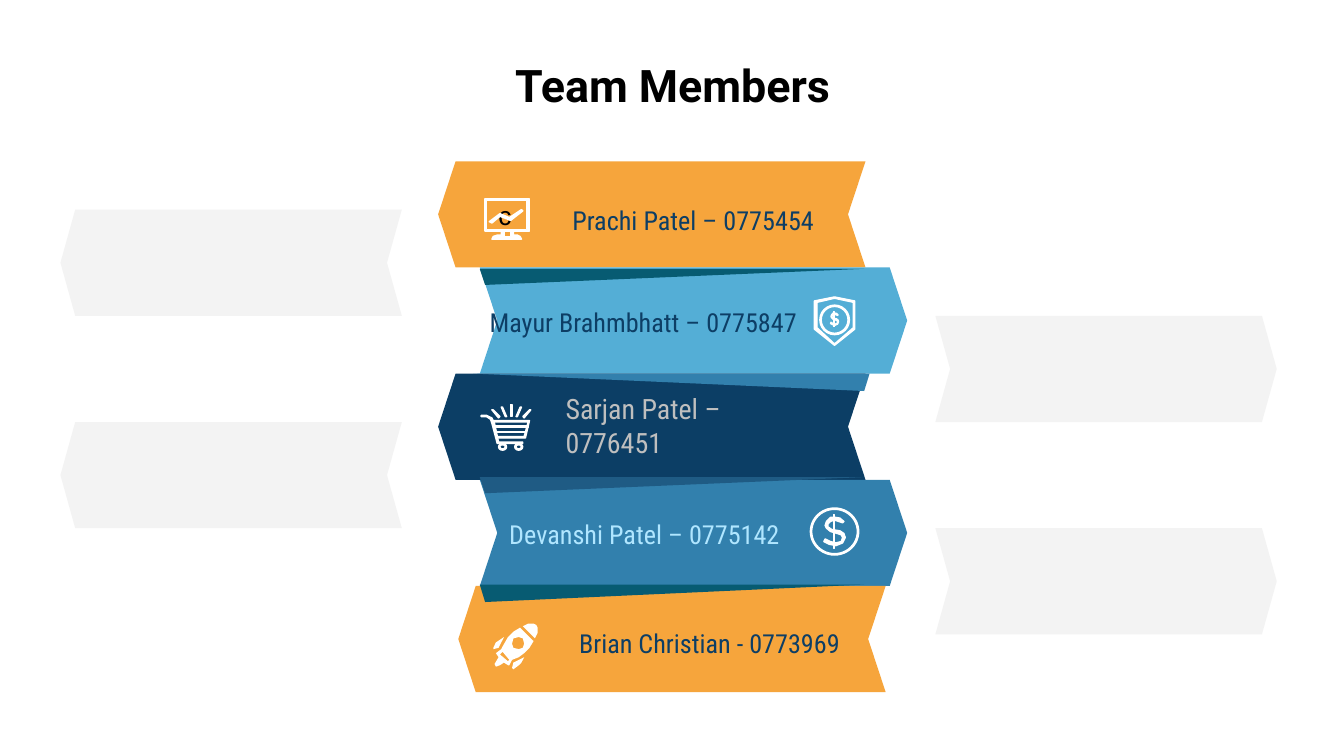
from pptx import Presentation
from pptx import util as u
from pptx.dml.color import RGBColor
from pptx.enum import shapes, text

COLOURS = {
    "orange": "F6A53C", "sky": "54AED6", "navy": "0C3E65", "blue": "3280AD",
    "teal": "075B72", "shade": "1F5B84", "grey": "F3F3F3", "white": "FFFFFF",
    "black": "000000", "ink": "0D3E65", "silver": "BFBFBF", "ice": "B0E6FF",
}
LEFT, CENTER, RIGHT = text.PP_ALIGN.LEFT, text.PP_ALIGN.CENTER, text.PP_ALIGN.RIGHT
TOP, MIDDLE = text.MSO_ANCHOR.TOP, text.MSO_ANCHOR.MIDDLE

# ribbon left, ribbon colour, fold colour, fold outline
RIBBONS = [
    (3.26, "orange", None, None),
    (3.57, "sky", "teal", [(3.57, 2), (3.61, 2.12), (6.43, 2)]),
    (3.26, "navy", "blue", [(3.52, 2.78), (6.43, 2.91), (6.47, 2.78)]),
    (3.57, "blue", "shade", [(3.57, 3.55), (3.61, 3.67), (6.43, 3.55)]),
    (3.41, "orange", "teal", [(3.57, 4.35), (3.61, 4.48), (6.43, 4.35)]),
]
# label, left, top, width, size, colour, alignment
MEMBERS = [
    ("Prachi Patel – 0775454", 4.16, 1.4, 2.28, 14, "ink", LEFT),
    ("Mayur Brahmbhatt – 0775847", 3.42, 2.16, 2.61, 14, "ink", RIGHT),
    ("Sarjan Patel – 0776451", 4.11, 2.93, 2.1, 15, "silver", LEFT),
    ("Devanshi Patel – 0775142", 3.58, 3.74, 2.32, 14, "ice", RIGHT),
    ("Brian Christian - 0773969", 4.21, 4.55, 2.28, 14, "ink", LEFT),
]
RIBBON_TOP, RIBBON_WIDTH, RIBBON_NOTCH = 1.2, 3.18, 0.13
PANEL_TOP, PANEL_WIDTH, PANEL_NOTCH = 1.56, 2.54, 0.11
PANEL_LEFTS = [0.45, 6.96]
PITCH = 0.79

MONITOR_STAND = [(3.73, 1.71), (3.73, 1.75), (3.7, 1.75), (3.67, 1.76), (3.66, 1.78),
                 (3.88, 1.78), (3.87, 1.76), (3.85, 1.75), (3.82, 1.75), (3.82, 1.71)]
MONITOR_STEM = [(3.8, 1.72), (3.8, 1.76), (3.75, 1.76), (3.75, 1.72)]
TREND = [(3.88, 1.56), (3.79, 1.62), (3.72, 1.59), (3.64, 1.65), (3.66, 1.66),
         (3.72, 1.61), (3.8, 1.64), (3.89, 1.57)]
SHIELD = [(6.21, 2.21), (6.06, 2.24), (6.06, 2.45), (6.21, 2.57), (6.36, 2.45), (6.36, 2.24)]
SHIELD_HOLE = [(6.21, 2.22), (6.35, 2.25), (6.35, 2.44), (6.21, 2.56), (6.08, 2.44), (6.08, 2.25)]
CART_HANDLE = [(3.58, 3.1), (3.62, 3.1), (3.65, 3.12), (3.66, 3.15), (3.7, 3.3), (3.89, 3.3),
               (3.89, 3.29), (3.71, 3.29), (3.68, 3.15), (3.66, 3.11), (3.62, 3.09), (3.58, 3.09)]
CART_BASKET = [(3.67, 3.13), (3.67, 3.14), (3.93, 3.14), (3.9, 3.25), (3.7, 3.25),
               (3.7, 3.26), (3.91, 3.26), (3.94, 3.13)]
CART_BARS = [(3.68, 3.17, 0.25, 0.01), (3.68, 3.21, 0.23, 0.01), (3.8, 3.01, 0.01, 0.09)]
CART_WHEELS = [3.71, 3.83]
CART_RAYS = [
    [(3.87, 3.03), (3.84, 3.1), (3.85, 3.1), (3.88, 3.03)],
    [(3.94, 3.05), (3.89, 3.1), (3.9, 3.11), (3.95, 3.05)],
    [(3.74, 3.03), (3.73, 3.03), (3.76, 3.1), (3.77, 3.1)],
    [(3.67, 3.05), (3.66, 3.05), (3.71, 3.11), (3.72, 3.1)],
]
# letter S on a 16 by 21 grid
LETTER_S = [(9, 0), (5, 0), (2, 3), (1, 6), (2, 8), (5, 10.5), (10, 12), (13, 13), (14, 15),
            (13, 18), (9, 19), (5, 18), (1, 16), (0, 18), (4, 20), (9, 21), (14, 19), (16, 15),
            (15, 12), (12, 10), (6, 9), (3, 7), (3, 5), (5, 3), (8, 2), (14, 4), (15, 3), (12, 0.5)]
ROCKET_BODY = [(3.87, 4.67), (3.82, 4.7), (3.78, 4.74), (3.74, 4.81), (3.73, 4.83), (3.69, 4.86),
               (3.71, 4.89), (3.68, 4.94), (3.69, 4.96), (3.72, 4.95), (3.75, 4.93), (3.78, 4.95),
               (3.79, 4.95), (3.81, 4.91), (3.86, 4.89), (3.9, 4.86), (3.94, 4.82), (3.97, 4.77)]
ROCKET_WINDOW = [(3.86, 4.74), (3.89, 4.75), (3.9, 4.79), (3.89, 4.82), (3.86, 4.83),
                 (3.82, 4.82), (3.81, 4.79), (3.82, 4.75)]
ROCKET_SLOT = [(3.74, 4.85), (3.79, 4.91), (3.78, 4.92), (3.72, 4.87)]
ROCKET_PARTS = [
    [ROCKET_BODY, ROCKET_WINDOW, ROCKET_SLOT],
    [[(3.97, 4.64), (3.93, 4.64), (3.89, 4.66), (3.98, 4.75), (4, 4.71), (4, 4.67), (3.99, 4.65)]],
    [[(3.9, 4.89), (3.84, 4.92), (3.82, 4.93), (3.81, 4.97), (3.82, 4.98), (3.86, 4.95), (3.88, 4.93)]],
    [[(3.75, 4.74), (3.69, 4.78), (3.67, 4.82), (3.67, 4.83), (3.71, 4.82), (3.72, 4.8)]],
]


def rgb(name):
    return RGBColor.from_string(COLOURS[name])


def paint(shape, colour, outlined):
    shape.shadow.inherit = False
    shape.fill.solid()
    shape.fill.fore_color.rgb = rgb(colour)
    if outlined:
        shape.line.color.rgb = rgb(colour)
        shape.line.width = u.Pt(0.75)
    else:
        shape.line.fill.background()
    return shape


def outline(contours, colour="white", outlined=False):
    """Draw closed contours as one shape; inner contours become holes."""
    scaled = [[(u.Inches(x), u.Inches(y)) for x, y in points] for points in contours]
    builder = page.shapes.build_freeform(*scaled[0][0])
    builder.add_line_segments(scaled[0][1:])
    for points in scaled[1:]:
        builder.move_to(*points[0])
        builder.add_line_segments(points[1:])
    return paint(builder.convert_to_shape(), colour, outlined)


def rectangle(left, top, width, height):
    return [(left, top), (left + width, top), (left + width, top + height), (left, top + height)]


def ribbon(left, top, width, notch, colour, points_right):
    tip = [(notch, 0), (0, PITCH / 2), (notch, PITCH),
           (width, PITCH), (width - notch, PITCH / 2), (width, 0)]
    outline([[(left + (width - x if points_right else x), top + y) for x, y in tip]], colour)


def ring(left, top, width, height, thickness):
    lengths = [u.Inches(n) for n in (left, top, width, height)]
    shape = page.shapes.add_shape(shapes.MSO_SHAPE.DONUT, *lengths)
    shape.adjustments[0] = thickness / min(width, height)
    paint(shape, "white", True)


def dollar(left, top, width, height, overhang):
    letter = [(left + x * width / 16, top + y * height / 21) for x, y in LETTER_S]
    outline([letter], outlined=True)
    bar = rectangle(left + width / 2 - 0.01, top - overhang, 0.01, height + 2 * overhang)
    outline([bar], outlined=True)


def write(shape, words, size, font, colour, align=LEFT, bold=False, anchor=MIDDLE):
    frame = shape.text_frame
    frame.word_wrap = True
    frame.vertical_anchor = anchor
    frame.margin_left = frame.margin_right = frame.margin_top = frame.margin_bottom = u.Inches(0.1)
    frame.text = words
    para = frame.paragraphs[0]
    para.alignment = align
    span = para.runs[0].font
    span.size, span.name, span.bold = u.Pt(size), font, bold
    span.color.rgb = rgb(colour)


deck = Presentation()
deck.slide_width, deck.slide_height = u.Inches(10), u.Inches(10 * 9 / 16)
page = deck.slides.add_slide(deck.slide_layouts[5])

title = page.shapes.title
title.left, title.top, title.width, title.height = [u.Inches(n) for n in (0.2, 0.33, 9.61, 0.63)]
write(title, "Team Members", 24, "Roboto", "black", CENTER, True, TOP)

for row in range(4):
    side = row % 2
    ribbon(PANEL_LEFTS[side], PANEL_TOP + row * PITCH, PANEL_WIDTH, PANEL_NOTCH, "grey", side)
for row, (left, colour, fold_colour, fold) in enumerate(RIBBONS):
    ribbon(left, RIBBON_TOP + row * PITCH, RIBBON_WIDTH, RIBBON_NOTCH, colour, row % 2)
    if fold:
        outline([fold], fold_colour)

# Monitor
screen = outline([rectangle(3.61, 1.48, 0.33, 0.24), rectangle(3.62, 1.49, 0.3, 0.22)], outlined=True)
write(screen, "c", 14, "Arial", "black")
outline([MONITOR_STAND, MONITOR_STEM], outlined=True)
outline([TREND], outlined=True)

# Shield
outline([SHIELD, SHIELD_HOLE], outlined=True)
ring(6.1, 2.27, 0.22, 0.22, 0.01)
dollar(6.18, 2.33, 0.06, 0.09, 0.01)

# Cart
for part in [CART_HANDLE, CART_BASKET, *CART_RAYS, *[rectangle(*bar) for bar in CART_BARS]]:
    outline([part], outlined=True)
for wheel in CART_WHEELS:
    ring(wheel, 3.3, 0.06, 0.05, 0.01)

# Coin
ring(6.03, 3.78, 0.36, 0.35, 0.01)
dollar(6.13, 3.85, 0.16, 0.21, 0.02)

# Rocket
for part in ROCKET_PARTS:
    outline(part)

for words, left, top, width, size, colour, align in MEMBERS:
    box = page.shapes.add_textbox(*[u.Inches(n) for n in (left, top, width, 0.47)])
    write(box, words, size, "Roboto Condensed", colour, align)

deck.save("out.pptx")
